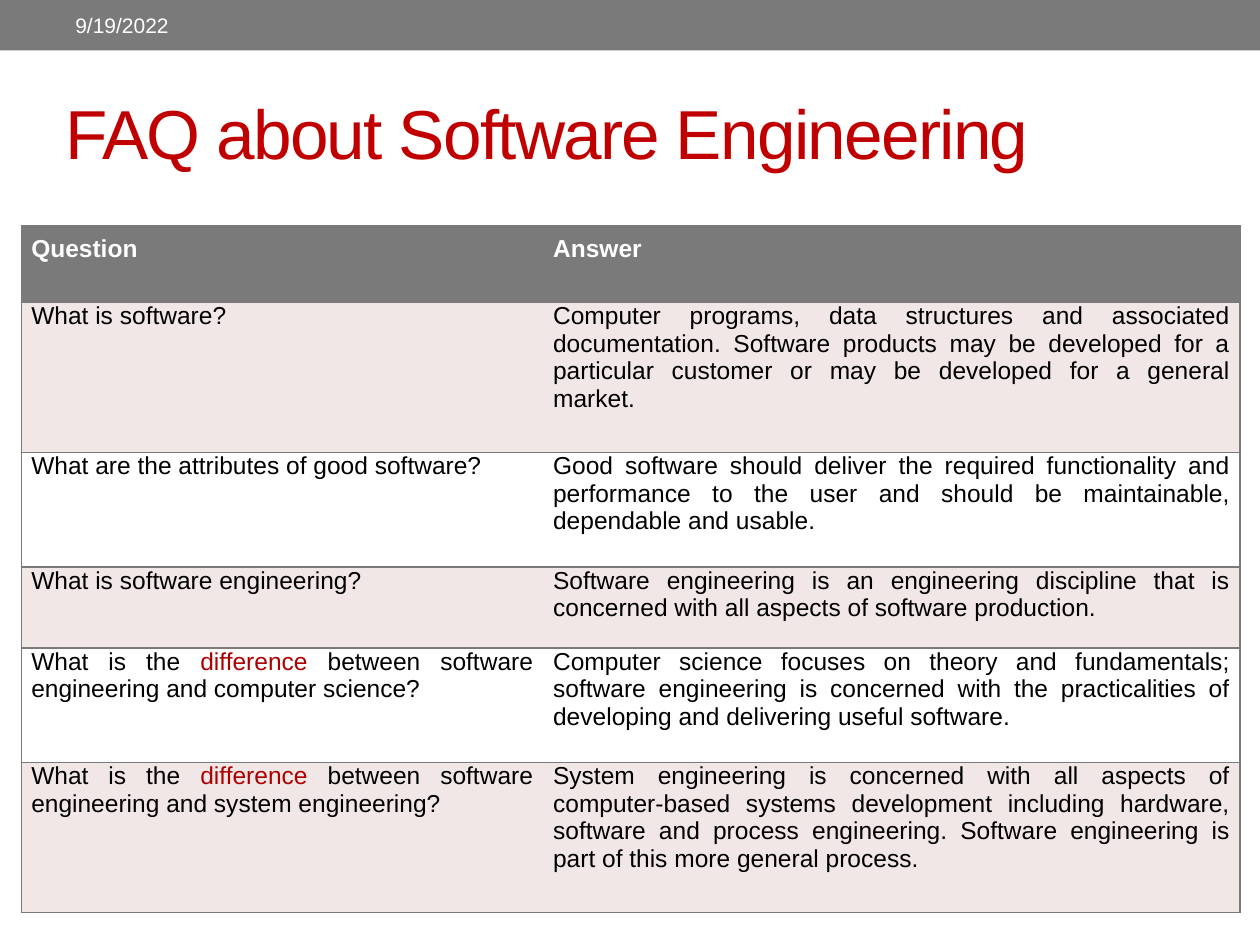
from dataclasses import dataclass

import pptx
import pptx.dml.color
import pptx.enum.shapes
import pptx.enum.text
import pptx.oxml.ns
import pptx.util
from lxml import etree

Cm = pptx.util.Cm
Pt = pptx.util.Pt
PP_ALIGN = pptx.enum.text.PP_ALIGN
MSO_ANCHOR = pptx.enum.text.MSO_ANCHOR


@dataclass(frozen=True)
class Theme:
    """Colours, font and type sizes of the slide."""
    grey: str = "7A7A7A"
    white: str = "FFFFFF"
    black: str = "000000"
    band: str = "F1E7E7"
    title_red: str = "C00000"
    accent_red: str = "AD0101"
    font: str = "Arial"
    title_size: float = 39.6
    table_size: float = 14
    date_size: float = 12
    border: float = 1


THEME = Theme()
COLUMN_WIDTHS = (10.52, 14.05)
ROW_HEIGHTS = (1.55, 3.02, 2.31, 1.63, 2.31, 3.02)
EMPHASIS = "difference"
FAQ = (
    ("Question", "Answer"),
    ("What is software?",
     "Computer programs, data structures and associated documentation. Software products "
     "may be developed for a particular customer or may be developed for a general market."),
    ("What are the attributes of good software?",
     "Good software should deliver the required functionality and performance to the user "
     "and should be maintainable, dependable and usable."),
    ("What is software engineering?",
     "Software engineering is an engineering discipline that is concerned with all aspects "
     "of software production."),
    ("What is the difference between software engineering and computer science?",
     "Computer science focuses on theory and fundamentals; software engineering is concerned "
     "with the practicalities of developing and delivering useful software."),
    ("What is the difference between software engineering and system engineering?",
     "System engineering is concerned with all aspects of computer-based systems development "
     "including hardware, software and process engineering. Software engineering is part of "
     "this more general process."),
)


def rgb(colour):
    """Turn a hex string into a colour."""
    return pptx.dml.color.RGBColor.from_string(colour)


def add_run(paragraph, text, size, colour, bold=False):
    """Add one formatted run to a paragraph."""
    run = paragraph.add_run()
    run.text = text
    run.font.name = THEME.font
    run.font.size = Pt(size)
    run.font.bold = bold
    run.font.color.rgb = rgb(colour)
    return run


def set_borders(cell, visible_sides):
    """Draw the given sides of a cell and clear the others."""
    properties = cell._tc.get_or_add_tcPr()
    for side in "LRTB":
        line = etree.SubElement(properties, pptx.oxml.ns.qn(f"a:ln{side}"),
                                w=str(Pt(THEME.border)))
        if side in visible_sides:
            fill = etree.SubElement(line, pptx.oxml.ns.qn("a:solidFill"))
            etree.SubElement(fill, pptx.oxml.ns.qn("a:srgbClr"), val=THEME.grey)
        else:
            etree.SubElement(line, pptx.oxml.ns.qn("a:noFill"))


def add_banner(slide, left, top, width, height):
    """Place the grey top band with the date in it."""
    band = slide.shapes.add_shape(pptx.enum.shapes.MSO_SHAPE.RECTANGLE,
                                  left, top, width, height)
    band.shadow.inherit = False
    band.fill.solid()
    band.fill.fore_color.rgb = rgb(THEME.grey)
    band.line.fill.background()
    date = slide.shapes.add_textbox(left + Cm(1.27), top + Cm(0.05),
                                    Cm(8.05), height - Cm(0.1)).text_frame
    date.word_wrap = True
    date.vertical_anchor = MSO_ANCHOR.MIDDLE
    add_run(date.paragraphs[0], "9/19/2022", THEME.date_size, THEME.white)


def fill_title(slide, left, top, width, height):
    """Move and format the title placeholder."""
    title = slide.shapes.title
    title.left, title.top, title.width, title.height = left, top, width, height
    frame = title.text_frame
    frame.auto_size = pptx.enum.text.MSO_AUTO_SIZE.NONE
    frame.vertical_anchor = MSO_ANCHOR.MIDDLE
    heading = frame.paragraphs[0]
    heading.alignment = PP_ALIGN.LEFT
    run = add_run(heading, "FAQ about Software Engineering",
                  THEME.title_size, THEME.title_red)
    run.font._element.set("spc", "-100")


def fill_cell(cell, text, row, column):
    """Format one table cell and write its text, with the key word in red."""
    is_header = row == 0
    set_borders(cell, "TB" + "LR"[column])
    cell.fill.solid()
    band = THEME.band if row % 2 else THEME.white
    cell.fill.fore_color.rgb = rgb(THEME.grey if is_header else band)
    cell.margin_left = cell.margin_right = cell.margin_bottom = Cm(0.2)
    cell.margin_top = Cm(0.2 if is_header else 0)
    cell.vertical_anchor = MSO_ANCHOR.TOP
    paragraph = cell.text_frame.paragraphs[0]
    paragraph.alignment = PP_ALIGN.JUSTIFY
    colour = THEME.white if is_header else THEME.black
    before, emphasis, after = text.partition(EMPHASIS)
    for part, part_colour in ((before, colour), (emphasis, THEME.accent_red), (after, colour)):
        if part:
            add_run(paragraph, part, THEME.table_size, part_colour, is_header)


def add_faq_table(slide, left, top, width, height):
    """Place the table of questions and answers."""
    faq = slide.shapes.add_table(len(FAQ), len(COLUMN_WIDTHS), left, top, width, height).table
    for column, column_width in zip(faq.columns, COLUMN_WIDTHS):
        column.width = Cm(column_width)
    for row, row_height in zip(faq.rows, ROW_HEIGHTS):
        row.height = Cm(row_height)
    for row, entry in enumerate(FAQ):
        for column, text in enumerate(entry):
            fill_cell(faq.cell(row, column), text, row, column)


def main():
    """Build and save the slide."""
    deck = pptx.Presentation()
    deck.slide_width, deck.slide_height = Cm(25.4), Cm(19.05)
    slide = deck.slides.add_slide(deck.slide_layouts.get_by_name("Title Only"))
    add_banner(slide, 0, 0, deck.slide_width, Cm(1.02))
    fill_title(slide, Cm(1.07), Cm(1.27), Cm(23.29), Cm(2.77))
    add_faq_table(slide, Cm(0.43), Cm(4.55), Cm(sum(COLUMN_WIDTHS)), Cm(sum(ROW_HEIGHTS)))
    deck.save("out.pptx")


if __name__ == "__main__":
    main()
